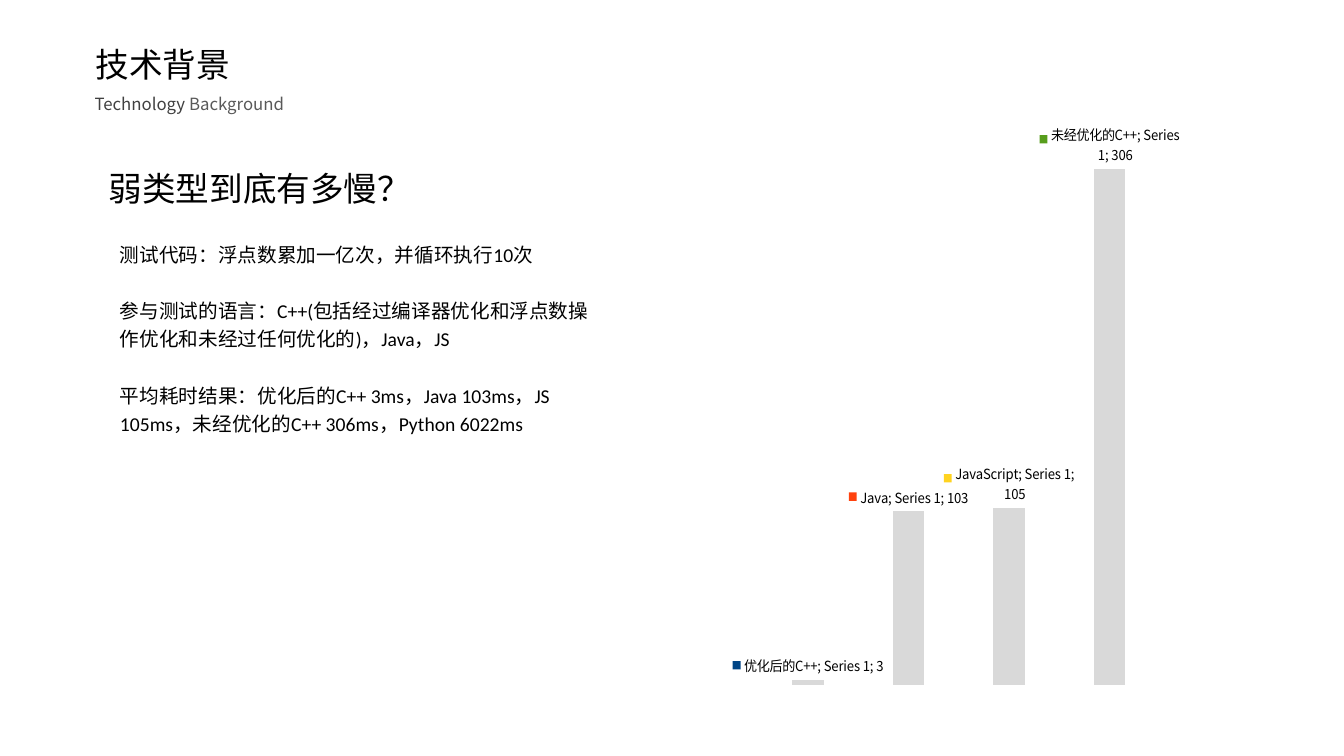
from dataclasses import dataclass

import pptx
import pptx.chart.data
import pptx.dml.color
import pptx.enum.chart
import pptx.enum.text
import pptx.oxml.ns
import pptx.util
from lxml import etree

Pt = pptx.util.Pt
CJK = "Noto Sans CJK SC"


@dataclass
class TextBlock:
    box: tuple[float, float, float, float]
    paragraphs: list[list[tuple[str, str]]]  # runs as (text, colour)
    size: float
    font: str = CJK
    line_spacing: float = 1.0
    space_after: float = 0
    wrap: bool = True


TITLE = TextBlock((61.2, 27.4, 229, 36), [[("技术背景", "000000")]], 24)
SUBTITLE = TextBlock(
    (60.5, 59, 309.6, 24.5),
    [[("Technology ", "404040"), ("Background", "595959")]],
    12, line_spacing=1.3,
)
QUESTION = TextBlock(
    (70.6, 116.6, 232.6, 36), [[("弱类型到底有多慢？", "000000")]], 24, wrap=False
)
TEST_NOTES = TextBlock(
    (78.5, 166.3, 351.4, 190.8),
    [
        [("测试代码：浮点数累加一亿次，并循环执行10次", "000000")],
        [("参与测试的语言：C++(包括经过编译器优化和浮点数操作优化和未经过任何优化的)，Java，JS", "000000")],
        [("平均耗时结果：优化后的C++ 3ms，Java 103ms，JS 105ms，未经优化的C++ 306ms，Python 6022ms", "000000")],
    ],
    14, font="Calibri", line_spacing=1.2, space_after=20.2,
)
CHART_BOX = (523.4, 59, 320.4, 439.2)
TIMES_MS = {"优化后的C++": 3, "Java": 103, "JavaScript": 105, "未经优化的C++": 306}


def rgb(colour: str) -> pptx.dml.color.RGBColor:
    return pptx.dml.color.RGBColor.from_string(colour)


def set_font(font, name: str, size: float, colour: str) -> None:
    """Apply one typeface to both Latin and East Asian text."""
    font.size = Pt(size)
    font.bold = False
    font.color.rgb = rgb(colour)
    font.name = name


def set_east_asian(rPr) -> None:
    etree.SubElement(rPr, pptx.oxml.ns.qn("a:ea")).set("typeface", CJK)


def fill_text(sp, block: TextBlock) -> None:
    sp.left, sp.top, sp.width, sp.height = map(Pt, block.box)
    tf = sp.text_frame
    tf.word_wrap = block.wrap
    tf.auto_size = pptx.enum.text.MSO_AUTO_SIZE.NONE
    tf.vertical_anchor = pptx.enum.text.MSO_ANCHOR.TOP
    tf.margin_left = tf.margin_right = Pt(7.2)
    tf.margin_top = tf.margin_bottom = Pt(3.6)
    for i, runs in enumerate(block.paragraphs):
        p = tf.paragraphs[0] if i == 0 else tf.add_paragraph()
        p.alignment = pptx.enum.text.PP_ALIGN.LEFT
        p.line_spacing = block.line_spacing
        p.space_before = Pt(0)
        p.space_after = Pt(block.space_after)
        pPr = p._p.get_or_add_pPr()
        pPr.set("marL", "0")
        pPr.set("indent", "0")
        etree.SubElement(pPr, pptx.oxml.ns.qn("a:buNone"))
        for text, colour in runs:
            r = p.add_run()
            r.text = text
            set_font(r.font, block.font, block.size, colour)
            set_east_asian(r._r.get_or_add_rPr())


def add_time_chart(s) -> None:
    data = pptx.chart.data.CategoryChartData()
    data.categories = list(TIMES_MS)
    data.add_series("Series 1", list(TIMES_MS.values()))
    chart = s.shapes.add_chart(
        pptx.enum.chart.XL_CHART_TYPE.COLUMN_CLUSTERED, *map(Pt, CHART_BOX), data
    ).chart
    chart.has_legend = chart.has_title = False
    set_font(chart.font, CJK, 10, "000000")
    chart.value_axis.has_major_gridlines = False
    chart.category_axis.visible = chart.value_axis.visible = False
    plot = chart.plots[0]
    plot.vary_by_categories = True
    plot.gap_width = 219
    plot.overlap = -11
    series = plot.series[0]
    series.format.fill.solid()
    series.format.fill.fore_color.rgb = rgb("D9D9D9")
    labels = series.data_labels
    labels.show_value = labels.show_percentage = True
    labels.show_category_name = labels.show_series_name = True
    labels.show_legend_key = True
    labels.position = pptx.enum.chart.XL_LABEL_POSITION.OUTSIDE_END
    set_font(labels.font, CJK, 10, "000000")


def main() -> None:
    prs = pptx.Presentation()
    prs.slide_width, prs.slide_height = Pt(960), Pt(540)
    s = prs.slides.add_slide(prs.slide_layouts[1])
    add_time_chart(s)
    fill_text(s.shapes.title, TITLE)
    fill_text(s.placeholders[1], TEST_NOTES)
    for block in (SUBTITLE, QUESTION):
        fill_text(s.shapes.add_textbox(*map(Pt, block.box)), block)
    prs.save("out.pptx")


if __name__ == "__main__":
    main()
